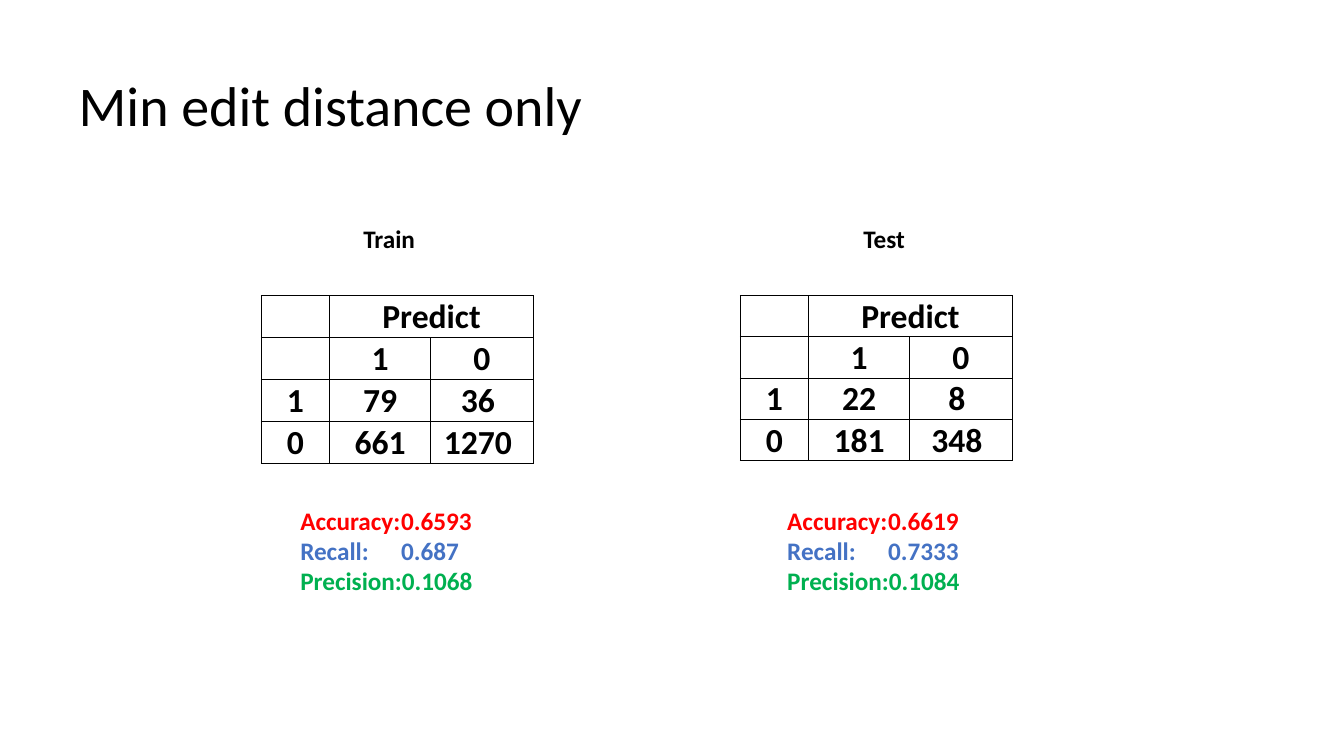
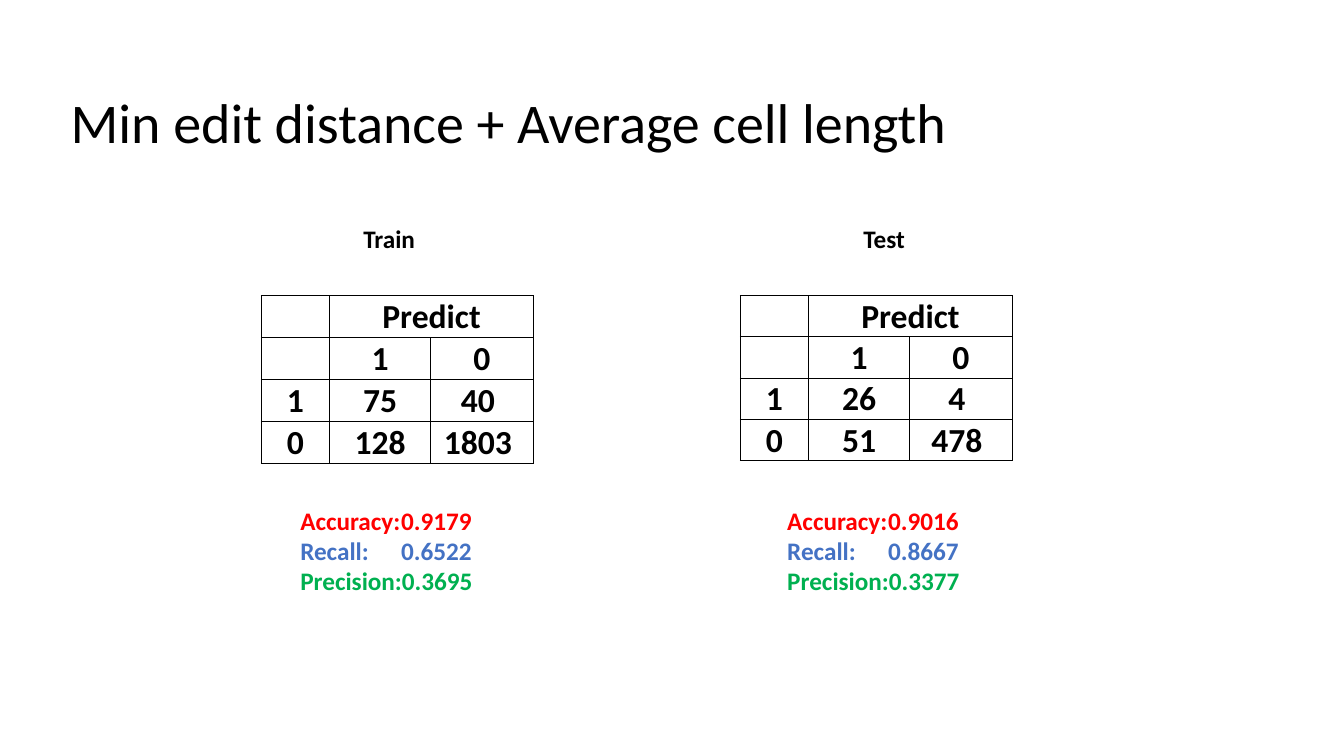
"""Builds two slides that compare confusion matrices on train and test data."""
from lxml.etree import SubElement
from pptx import Presentation
from pptx.dml.color import RGBColor
from pptx.enum.text import MSO_ANCHOR, PP_ALIGN
from pptx.oxml.ns import qn
from pptx.util import Inches, Pt

FONT = "Calibri"
BLACK = RGBColor(0x00, 0x00, 0x00)
RED = RGBColor(0xFF, 0x00, 0x00)
BLUE = RGBColor(0x44, 0x72, 0xC4)
GREEN = RGBColor(0x00, 0xB0, 0x50)

WIDTHS = (0.68, 1, 1.02)
ROW = 0.41
LABELS = (("Accuracy:\t", RED), ("Recall:\t", BLUE), ("Precision:", GREEN))
PANELS = (("Train", 2.88, 2.59, 2.88), ("Test", 7.79, 7.34, 7.71))
SLIDES = (
    ("Min edit distance only", (0.68, 0.35, 10.97, 1.45), (
        (((79, 36), (661, 1270)), ("0.6593", "0.687", "0.1068")),
        (((22, 8), (181, 348)), ("0.6619", "0.7333", "0.1084")),
    )),
    ("Min edit distance + Average cell length", (0.6, 0.52, 12.57, 1.45), (
        (((75, 40), (128, 1803)), ("0.9179", "0.6522", "0.3695")),
        (((26, 4), (51, 478)), ("0.9016", "0.8667", "0.3377")),
    )),
)


def add_run(para, text, size, color=BLACK, bold=True):
    """Append one styled run to a paragraph."""
    run = para.add_run()
    run.text = text
    font = run.font
    font.name, font.size, font.bold = FONT, Pt(size), bold
    font.color.rgb = color


def set_title(slide, text, box):
    """Place and format the title placeholder."""
    title = slide.shapes.title
    title.left, title.top, title.width, title.height = map(Inches, box)
    frame = title.text_frame
    frame.word_wrap = True
    frame.vertical_anchor = MSO_ANCHOR.MIDDLE
    para = frame.paragraphs[0]
    para.alignment = PP_ALIGN.LEFT
    para.line_spacing = 0.9
    add_run(para, text, 40, bold=False)


def add_text(slide, box, lines, align=PP_ALIGN.LEFT):
    """Add a text box with one coloured paragraph per line."""
    frame = slide.shapes.add_textbox(*map(Inches, box)).text_frame
    frame.word_wrap = True
    for i, (text, color) in enumerate(lines):
        para = frame.add_paragraph() if i else frame.paragraphs[0]
        para.alignment = align
        add_run(para, text, 18, color)


def set_border(cell):
    """Draw a thin black line on all four sides of a cell."""
    props = cell._tc.get_or_add_tcPr()
    for i, side in enumerate("LRTB"):
        line = SubElement(props, qn(f"a:ln{side}"), w=str(Pt(0.5)))
        fill = SubElement(line, qn("a:solidFill"))
        SubElement(fill, qn("a:srgbClr"), val=str(BLACK))
        props.insert(i, line)


def fill_cell(cell, text, pad):
    """Format a cell and write its centred text."""
    cell.fill.background()
    set_border(cell)
    cell.vertical_anchor = MSO_ANCHOR.BOTTOM
    cell.margin_left = cell.margin_top = Inches(0.01)
    cell.margin_right = Inches(pad)
    cell.margin_bottom = 0
    if text:
        para = cell.text_frame.paragraphs[0]
        para.alignment = PP_ALIGN.CENTER
        add_run(para, text, 24)


def add_matrix(slide, left, counts):
    """Add a confusion matrix with a merged header."""
    rows = [("", "Predict", ""), ("", "1", "0")]
    rows += [(name, *map(str, pair)) for name, pair in zip("10", counts)]
    box = (left, 2.93, sum(WIDTHS), ROW * len(rows))
    table = slide.shapes.add_table(
        len(rows), len(WIDTHS), *map(Inches, box)).table
    table.first_row = table.horz_banding = False
    for col, width in zip(table.columns, WIDTHS):
        col.width = Inches(width)
    for r, row in enumerate(rows):
        table.rows[r].height = Inches(ROW)
        for c, text in enumerate(row):
            pad = 0.09 if r > 1 and c == 2 else 0.01
            fill_cell(table.cell(r, c), text, pad)
    table.cell(0, 1).merge(table.cell(0, 2))


def add_panel(slide, panel, counts, scores):
    """Add a heading, its matrix and its scores."""
    name, head, grid, foot = panel
    add_matrix(slide, grid, counts)
    lines = [(label + score, color)
             for (label, color), score in zip(LABELS, scores)]
    add_text(slide, (foot, 4.96, 2.13, 1.01), lines)
    add_text(slide, (head, 2.17, 1.96, 0.4), [(name, BLACK)],
             PP_ALIGN.CENTER)


def main():
    """Build and save the slides."""
    deck = Presentation()
    deck.slide_width, deck.slide_height = Inches(13.33), Inches(7.5)
    for title, box, results in SLIDES:
        slide = deck.slides.add_slide(deck.slide_layouts[5])
        set_title(slide, title, box)
        for panel, (counts, scores) in zip(PANELS, results):
            add_panel(slide, panel, counts, scores)
    deck.save("out.pptx")


main()
